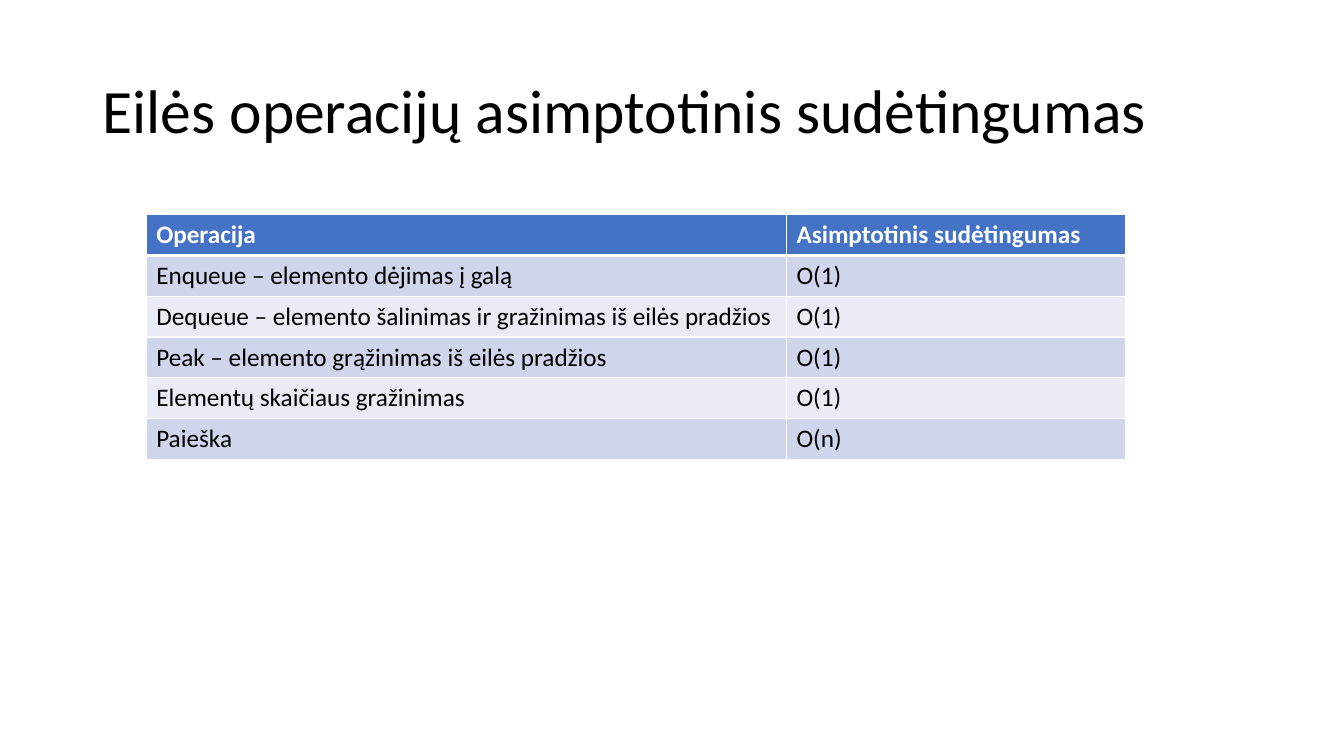
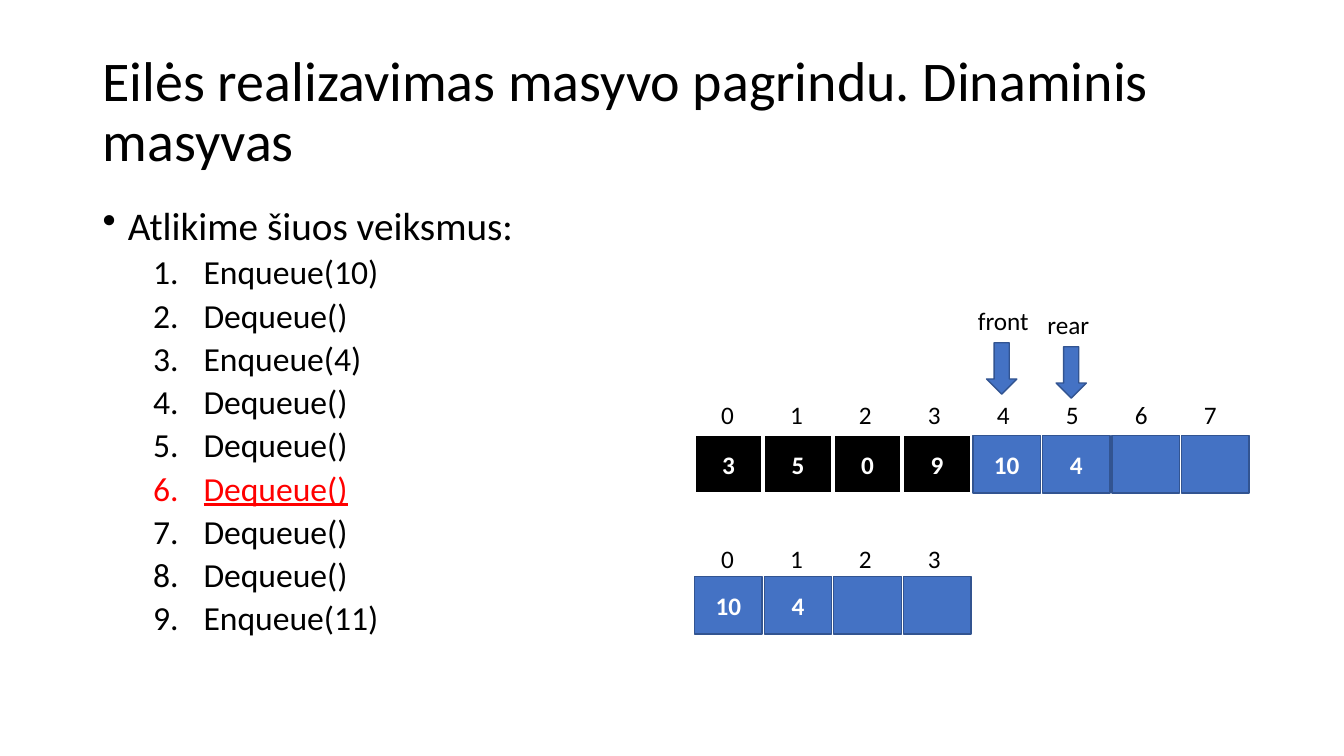
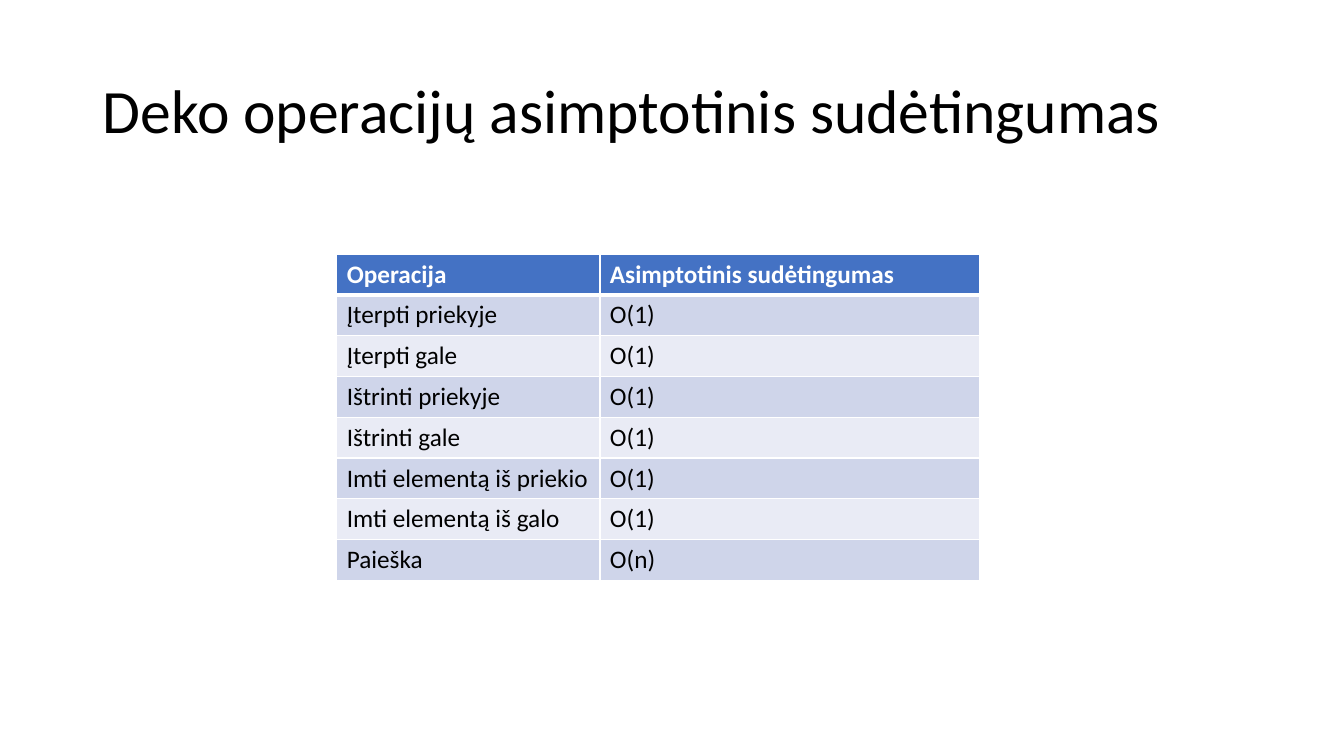
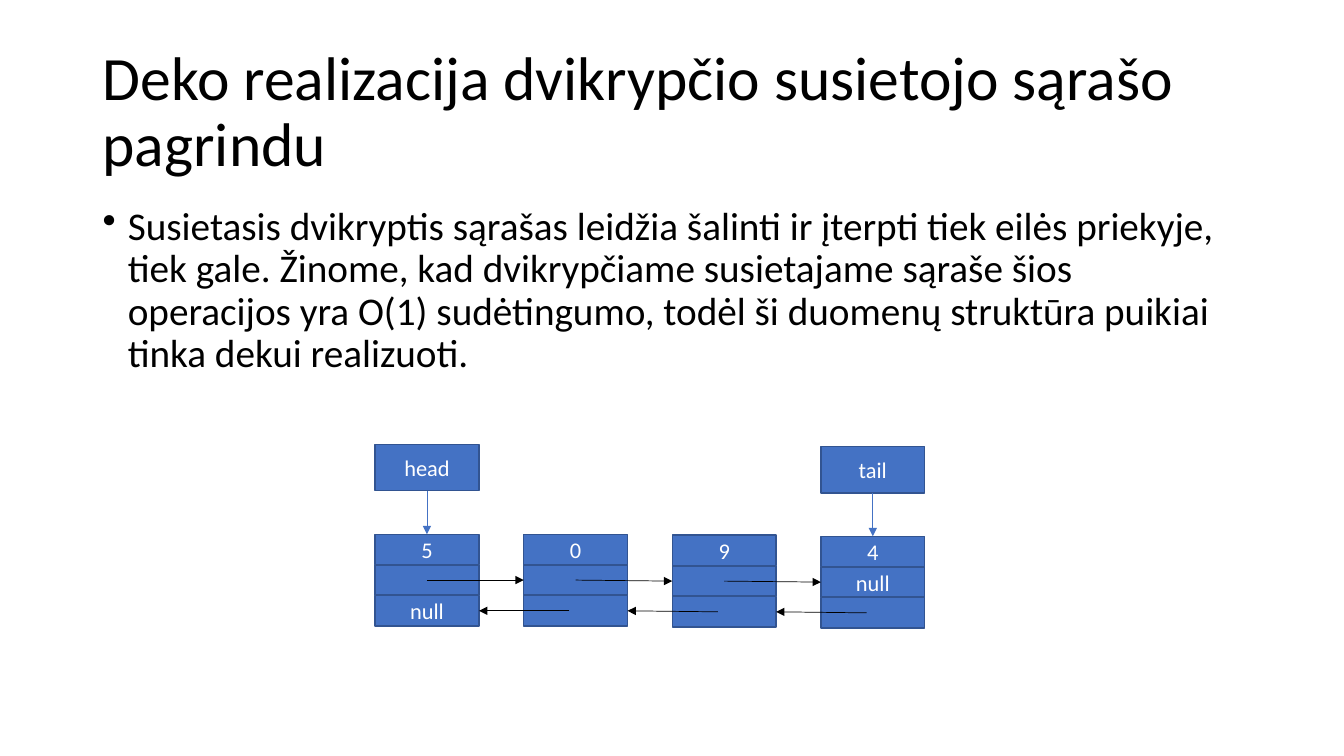
"""Build four slides on queue and deque data structures."""
import pptx
import pptx.dml.color
import pptx.enum.shapes
import pptx.enum.text
import pptx.oxml.ns
import pptx.util
from lxml import etree

FONT = "Calibri"
BLACK, WHITE, RED = "000000", "FFFFFF", "FF0000"
BLUE, DARK_BLUE = "4472C4", "325491"
BANDS = ("E9EBF5", "CFD5EA")
SLIDE_SIZE = (13.33, 7.5)
MARGIN, CONTENT_WIDTH, BODY_TOP = 0.92, 11.5, 2
ROW_HEIGHT = 0.405

TABLE_HEADER = ("Operacija", "Asimptotinis sudėtingumas")
QUEUE_OPERATIONS = [
    ("Enqueue – elemento dėjimas į galą", "O(1)"),
    ("Dequeue – elemento šalinimas ir gražinimas iš eilės pradžios", "O(1)"),
    ("Peak – elemento grąžinimas iš eilės pradžios", "O(1)"),
    ("Elementų skaičiaus gražinimas", "O(1)"),
    ("Paieška", "O(n)"),
]
DEQUE_OPERATIONS = [
    ("Įterpti priekyje", "O(1)"),
    ("Įterpti gale", "O(1)"),
    ("Ištrinti priekyje", "O(1)"),
    ("Ištrinti gale", "O(1)"),
    ("Imti elementą iš priekio", "O(1)"),
    ("Imti elementą iš galo", "O(1)"),
    ("Paieška", "O(n)"),
]
STEPS_INTRO = "Atlikime šiuos veiksmus:"
STEPS = ["Enqueue(10)", "Dequeue()", "Enqueue(4)", "Dequeue()", "Dequeue()",
         "Dequeue()", "Dequeue()", "Dequeue()", "Enqueue(11)"]
CURRENT_STEP = 5

ARRAY_LEFT, CELL_PITCH, CELL_WIDTH, CELL_HEIGHT = 6.89, 0.69, 0.67, 0.57
INDEX_LEFT, INDEX_PITCH = 6.88, 0.684
ARRAYS = [
    {"top": 4.32, "index_top": 3.91, "removed": 4,
     "values": ["3", "5", "0", "9", "10", "4", "", ""]},
    {"top": 5.72, "index_top": 5.345, "removed": 0,
     "values": ["10", "4", "", ""]},
]
POINTERS = [("front", 9.6, 2.98), ("rear", 10.29, 3.02)]

DEQUE_TEXT = (
    "Susietasis dvikryptis sąrašas leidžia šalinti ir įterpti tiek eilės priekyje, "
    "tiek gale. Žinome, kad dvikrypčiame susietajame sąraše šios operacijos yra O(1) "
    "sudėtingumo, todėl ši duomenų struktūra puikiai tinka dekui realizuoti."
)
NODE_LEFT, NODE_PITCH, NODE_WIDTH = 3.72, 1.474, 1.03
FIELD_HEIGHT, FIELD_PITCH = 0.3, 0.305
END_HEIGHT, END_RISE = 0.46, 0.89
NODES = [
    {"top": 5.3, "fields": ("5", "", "null"), "end": "head"},
    {"top": 5.3, "fields": ("0", "", ""), "end": None},
    {"top": 5.31, "fields": ("9", "", ""), "end": None},
    {"top": 5.32, "fields": ("4", "null", ""), "end": "tail"},
]


def inches(*lengths):
    return [pptx.util.Inches(length) for length in lengths]


def rgb(color):
    return pptx.dml.color.RGBColor.from_string(color)


def add_element(parent, tag, **attributes):
    return etree.SubElement(parent, pptx.oxml.ns.qn(tag), attributes)


def style_runs(paragraph, size, color=BLACK, bold=False, underline=False):
    for run in paragraph.runs:
        run.font.name = FONT
        run.font.size = pptx.util.Pt(size)
        run.font.bold = bold
        run.font.underline = underline
        run.font.color.rgb = rgb(color)


def add_text(slide, text, box, size, centered=False):
    text_frame = slide.shapes.add_textbox(*inches(*box)).text_frame
    text_frame.word_wrap = True
    text_frame.text = text
    paragraph = text_frame.paragraphs[0]
    if centered:
        paragraph.alignment = pptx.enum.text.PP_ALIGN.CENTER
    style_runs(paragraph, size)
    return text_frame


def add_slide(presentation, title, size=44):
    slide = presentation.slides.add_slide(presentation.slide_layouts[6])
    text_frame = add_text(slide, title, (MARGIN, 0.4, CONTENT_WIDTH, 1.45), size)
    text_frame.vertical_anchor = pptx.enum.text.MSO_ANCHOR.MIDDLE
    text_frame.paragraphs[0].line_spacing = 0.9
    return slide


def set_bullet(paragraph, indent, hanging, tag, **attributes):
    paragraph.line_spacing = 0.9
    properties = paragraph._p.get_or_add_pPr()
    properties.set("marL", str(pptx.util.Inches(indent)))
    properties.set("indent", str(-pptx.util.Inches(hanging)))
    add_element(properties, tag, **attributes)


def add_body(slide, text, width, height):
    text_frame = add_text(slide, text, (MARGIN, BODY_TOP, width, height), 28)
    set_bullet(text_frame.paragraphs[0], 0.25, 0.25, "a:buChar", char="•")
    return text_frame


def add_shape(slide, kind, box, text="", size=18, bold=False,
              fill=BLUE, line=DARK_BLUE, line_width=1):
    shape = slide.shapes.add_shape(kind, *inches(*box))
    shape.shadow.inherit = False
    shape.fill.solid()
    shape.fill.fore_color.rgb = rgb(fill)
    shape.line.color.rgb = rgb(line)
    shape.line.width = pptx.util.Pt(line_width)
    if text:
        shape.text_frame.text = text
        shape.text_frame.vertical_anchor = pptx.enum.text.MSO_ANCHOR.MIDDLE
        paragraph = shape.text_frame.paragraphs[0]
        paragraph.alignment = pptx.enum.text.PP_ALIGN.CENTER
        style_runs(paragraph, size, WHITE, bold)
    return shape


def add_rectangle(slide, box, text="", **style):
    return add_shape(slide, pptx.enum.shapes.MSO_SHAPE.RECTANGLE, box, text, **style)


def add_arrow(slide, start, target, side, color):
    connector = slide.shapes.add_connector(
        pptx.enum.shapes.MSO_CONNECTOR.STRAIGHT, *start, *start)
    connector.end_connect(target, side)
    connector.line.color.rgb = rgb(color)
    connector.line.width = pptx.util.Pt(0.5)
    add_element(connector.line._get_or_add_ln(), "a:tailEnd", type="triangle")
    add_element(connector._element.spPr, "a:effectLst")
    return connector


def set_borders(cell, widths):
    properties = cell._tc.get_or_add_tcPr()
    for side, width in zip("LRTB", widths):
        border = add_element(properties, f"a:ln{side}", w=str(pptx.util.Pt(width)))
        fill = add_element(border, "a:solidFill")
        add_element(fill, "a:srgbClr", val=WHITE)


def add_operations_table(slide, operations, left, top, column_widths):
    rows = [TABLE_HEADER, *operations]
    table = slide.shapes.add_table(
        len(rows), len(TABLE_HEADER),
        *inches(left, top, sum(column_widths), ROW_HEIGHT * len(rows))).table
    for column, width in zip(table.columns, column_widths):
        column.width = pptx.util.Inches(width)
    for row_index, row in enumerate(rows):
        header = row_index == 0
        widths = (1, 1, 3 if row_index == 1 else 1, 3 if header else 1)
        for column_index, text in enumerate(row):
            cell = table.cell(row_index, column_index)
            set_borders(cell, widths)
            cell.fill.solid()
            cell.fill.fore_color.rgb = rgb(BLUE if header else BANDS[row_index % 2])
            cell.text_frame.text = text
            style_runs(cell.text_frame.paragraphs[0], 18,
                       WHITE if header else BLACK, bold=header)


def add_steps(slide):
    text_frame = add_body(slide, STEPS_INTRO, 5.75, 4.9)
    for index, step in enumerate(STEPS):
        paragraph = text_frame.add_paragraph()
        paragraph.text = step
        paragraph.level = 1
        paragraph.space_before = pptx.util.Pt(5)
        set_bullet(paragraph, 1, 0.5, "a:buAutoNum", type="arabicPeriod")
        current = index == CURRENT_STEP
        style_runs(paragraph, 24, RED if current else BLACK, underline=current)


def add_array(slide, array):
    removed_style = {"fill": BLACK, "line": WHITE, "line_width": 1.5}
    for index, value in enumerate(array["values"]):
        style = removed_style if index < array["removed"] else {}
        add_rectangle(slide, (ARRAY_LEFT + index * CELL_PITCH, array["top"],
                              CELL_WIDTH, CELL_HEIGHT), value, bold=True, **style)
        add_text(slide, str(index), (INDEX_LEFT + index * INDEX_PITCH,
                                     array["index_top"], CELL_WIDTH, 0.4), 18, True)


def add_pointers(slide):
    for name, left, top in POINTERS:
        add_text(slide, name, (left, top, 0.72, 0.4), 18)
        add_shape(slide, pptx.enum.shapes.MSO_SHAPE.DOWN_ARROW,
                  (left + 0.185, top + 0.42, 0.3, 0.51))


def add_linked_list(slide):
    previous = None
    for index, node in enumerate(NODES):
        left = NODE_LEFT + index * NODE_PITCH
        fields = [
            add_rectangle(slide, (left, node["top"] + row * FIELD_PITCH,
                                  NODE_WIDTH, FIELD_HEIGHT), text, size=16)
            for row, text in enumerate(node["fields"])
        ]
        if node["end"]:
            end = add_rectangle(slide, (left, node["top"] - END_RISE,
                                        NODE_WIDTH, END_HEIGHT), node["end"], size=16)
            arrow = add_arrow(slide, (end.left, end.top), fields[0], 0, BLUE)
            arrow.begin_connect(end, 2)
        if previous:
            links = [(previous[1], fields[1], 1, 0.5), (fields[2], previous[2], 3, 0.44)]
            for source, target, side, share in links:
                start = (source.left + int(source.width * share),
                         source.top + source.height // 2)
                add_arrow(slide, start, target, side, BLACK)
        previous = fields


def main():
    presentation = pptx.Presentation()
    presentation.slide_width, presentation.slide_height = inches(*SLIDE_SIZE)

    slide = add_slide(presentation, "Eilės operacijų asimptotinis sudėtingumas")
    add_operations_table(slide, QUEUE_OPERATIONS, 1.45, 2.13, (6.35, 3.36))

    slide = add_slide(
        presentation, "Eilės realizavimas masyvo pagrindu. Dinaminis masyvas", 40)
    add_steps(slide)
    for array in ARRAYS:
        add_array(slide, array)
    add_pointers(slide)

    slide = add_slide(presentation, "Deko operacijų asimptotinis sudėtingumas")
    add_operations_table(slide, DEQUE_OPERATIONS, 3.34, 2.52, (2.61, 3.77))

    slide = add_slide(
        presentation, "Deko realizacija dvikrypčio susietojo sąrašo pagrindu")
    add_body(slide, DEQUE_TEXT, CONTENT_WIDTH, 1.99)
    add_linked_list(slide)

    presentation.save("out.pptx")


if __name__ == "__main__":
    main()
